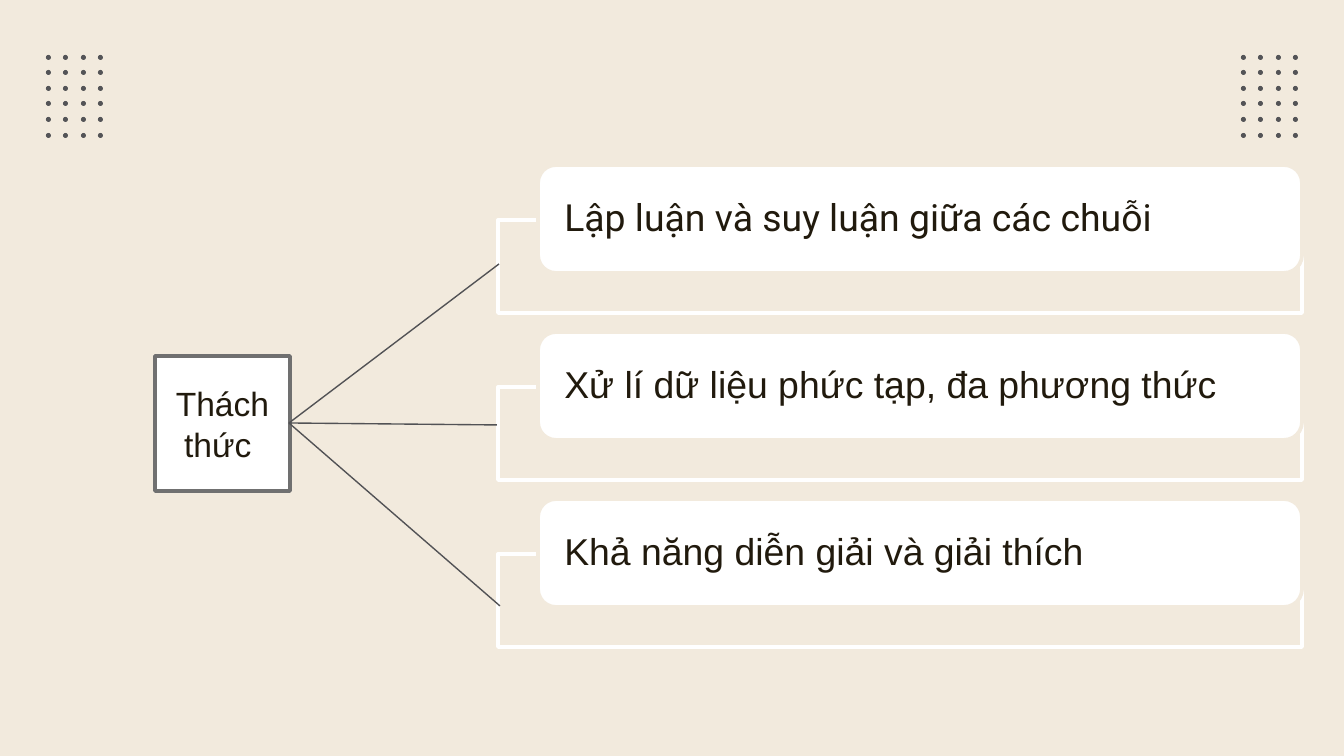
from lxml.etree import SubElement
from pptx import Presentation
from pptx.dml.color import RGBColor
from pptx.enum.shapes import MSO_CONNECTOR as Connector, MSO_SHAPE as Shape
from pptx.enum.text import MSO_ANCHOR as Anchor, PP_ALIGN as Align
from pptx.oxml.ns import qn
from pptx.util import Pt

EMU_PER_PX = 914400 / 134.4


def px(length):
    return round(length * EMU_PER_PX)


def color(code):
    return RGBColor.from_string(code)


def write(box, text, font="Arial", size=18, ink="211A0D", align=Align.LEFT,
          spacing=1.0, inset=13):
    frame = box.text_frame
    frame.word_wrap = True
    frame.vertical_anchor = Anchor.MIDDLE
    frame.margin_left = frame.margin_right = px(inset)
    frame.margin_top = frame.margin_bottom = 0
    para = frame.paragraphs[0]
    para.alignment = align
    para.line_spacing = spacing
    span = para.add_run()
    span.text = text
    span.font.name = font
    span.font.size = Pt(size)
    span.font.color.rgb = color(ink)


class Slide:
    sand, white = "F2EADD", "FFFFFF"
    dot_ink, border, link_ink = "545457", "707070", "525255"

    def __init__(self, deck):
        self.page = deck.slides.add_slide(deck.slide_layouts[6])
        fill = self.page.background.fill
        fill.solid()
        fill.fore_color.rgb = color(self.sand)

    def shape(self, kind, left, top, width, height, fill, line=None, alpha=None):
        box = self.page.shapes.add_shape(
            kind, px(left), px(top), px(width), px(height))
        box.shadow.inherit = False
        box.fill.solid()
        box.fill.fore_color.rgb = color(fill)
        if alpha:
            tint = box.fill._xPr.find(qn("a:solidFill"))[0]
            SubElement(tint, qn("a:alpha"), val=str(alpha * 1000))
        if line:
            box.line.color.rgb = color(line)
            box.line.width = Pt(2)
        else:
            box.line.fill.background()
        return box

    def dots(self, left, top):
        for row in range(6):
            for column in range(4):
                self.shape(Shape.OVAL, left + column * 35 // 2,
                           top + row * 78 // 5, 5, 5, self.dot_ink)

    def card(self, top, text, font):
        self.shape(Shape.RECTANGLE, 498, top + 55, 804, 93,
                   self.sand, self.white, alpha=90)
        box = self.shape(Shape.ROUNDED_RECTANGLE, 538, top, 764, 108,
                         self.white, self.sand)
        write(box, text, font=font, size=20, spacing=0.9, inset=21)

    def topic(self, left, top, side, text):
        box = self.shape(Shape.RECTANGLE, left, top, side, side,
                         self.white, self.border)
        write(box, text, align=Align.CENTER)

    def link(self, start, end):
        line = self.page.shapes.add_connector(
            Connector.STRAIGHT, *map(px, start + end))
        line.line.color.rgb = color(self.link_ink)
        line.line.width = Pt(0.75)
        SubElement(line._element.spPr, qn("a:effectLst"))


def main():
    deck = Presentation()
    deck.slide_width, deck.slide_height = px(1344), px(756)
    slide = Slide(deck)
    for left in (46, 1241):
        slide.dots(left, 55)

    challenges = [
        ("Lập luận và suy luận giữa các chuỗi", "Roboto"),
        ("Xử lí dữ liệu phức tạp, đa phương thức", "Arial"),
        ("Khả năng diễn giải và giải thích", "Arial"),
    ]
    for index, (text, font) in enumerate(challenges):
        slide.card(165 + index * 167, text, font)

    slide.topic(155, 356, 135, "Thách thức ")
    for end in ((499, 264), (497, 425), (500, 606)):
        slide.link((289, 423), end)
    deck.save("out.pptx")


if __name__ == "__main__":
    main()
